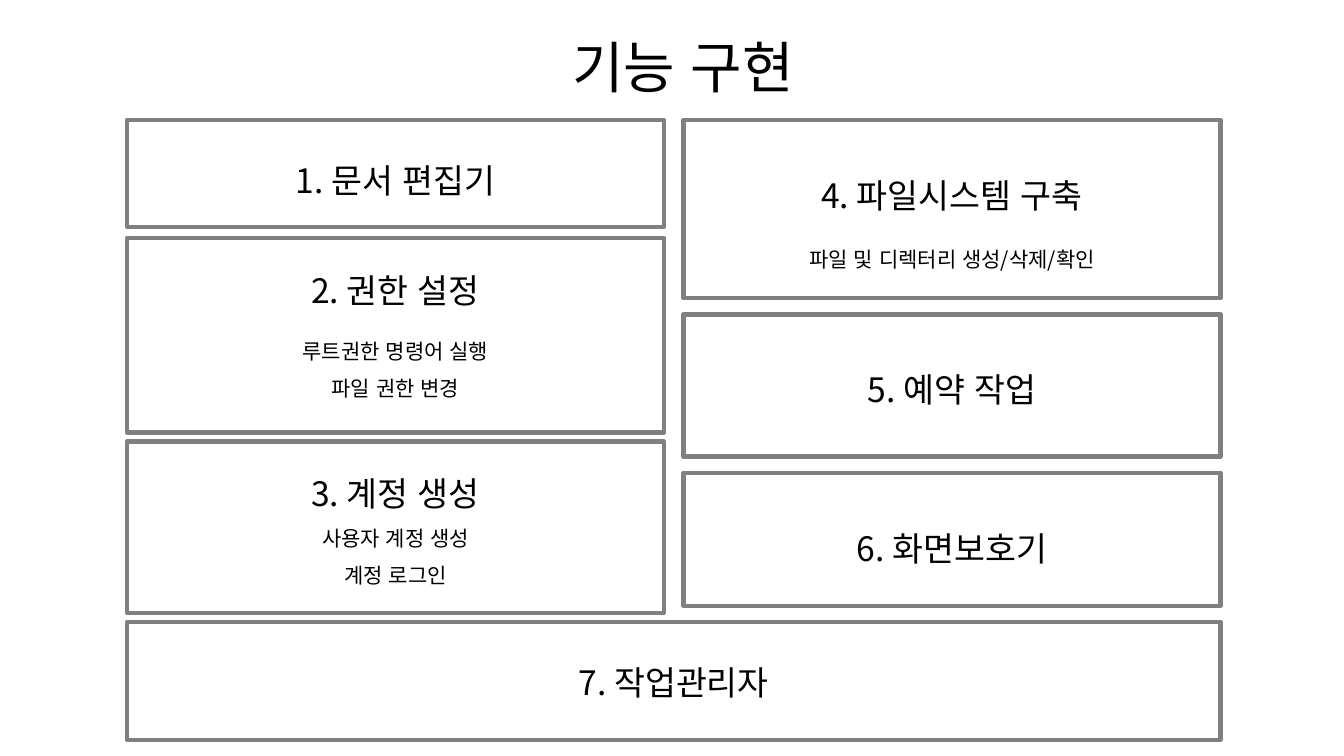
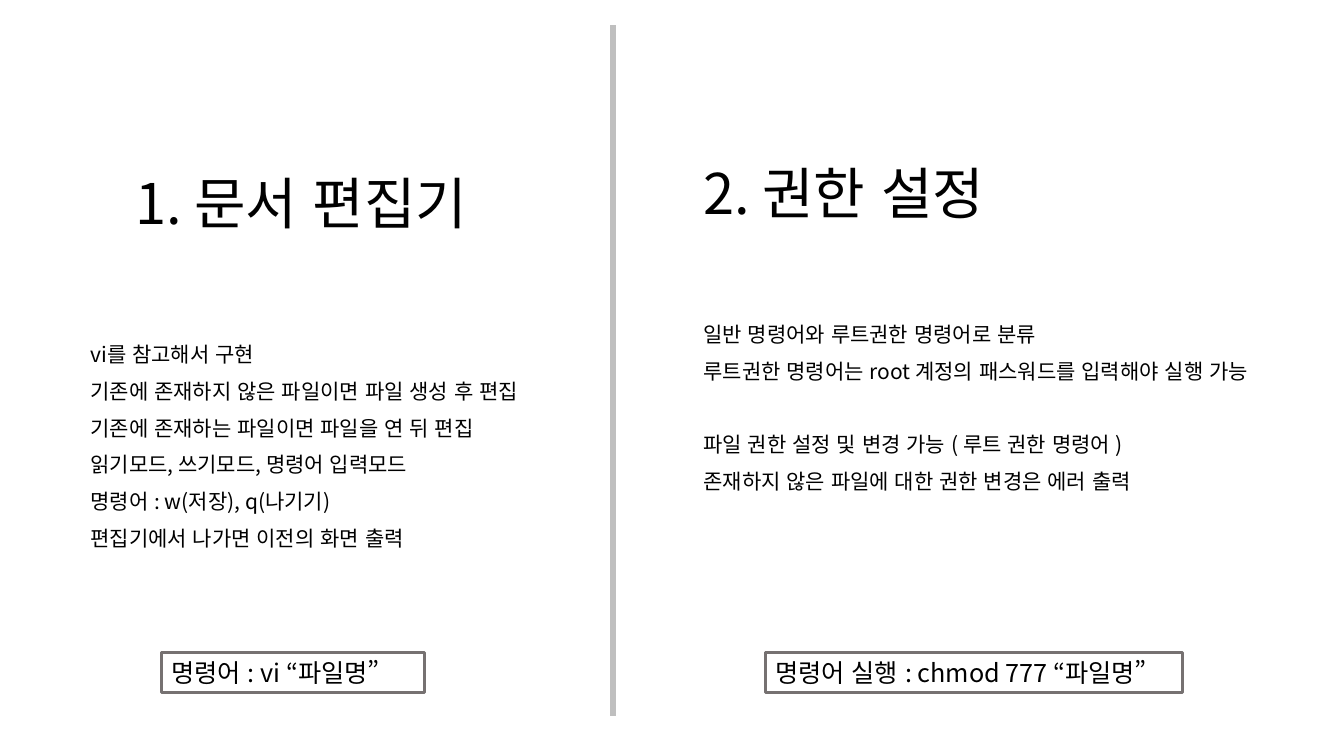
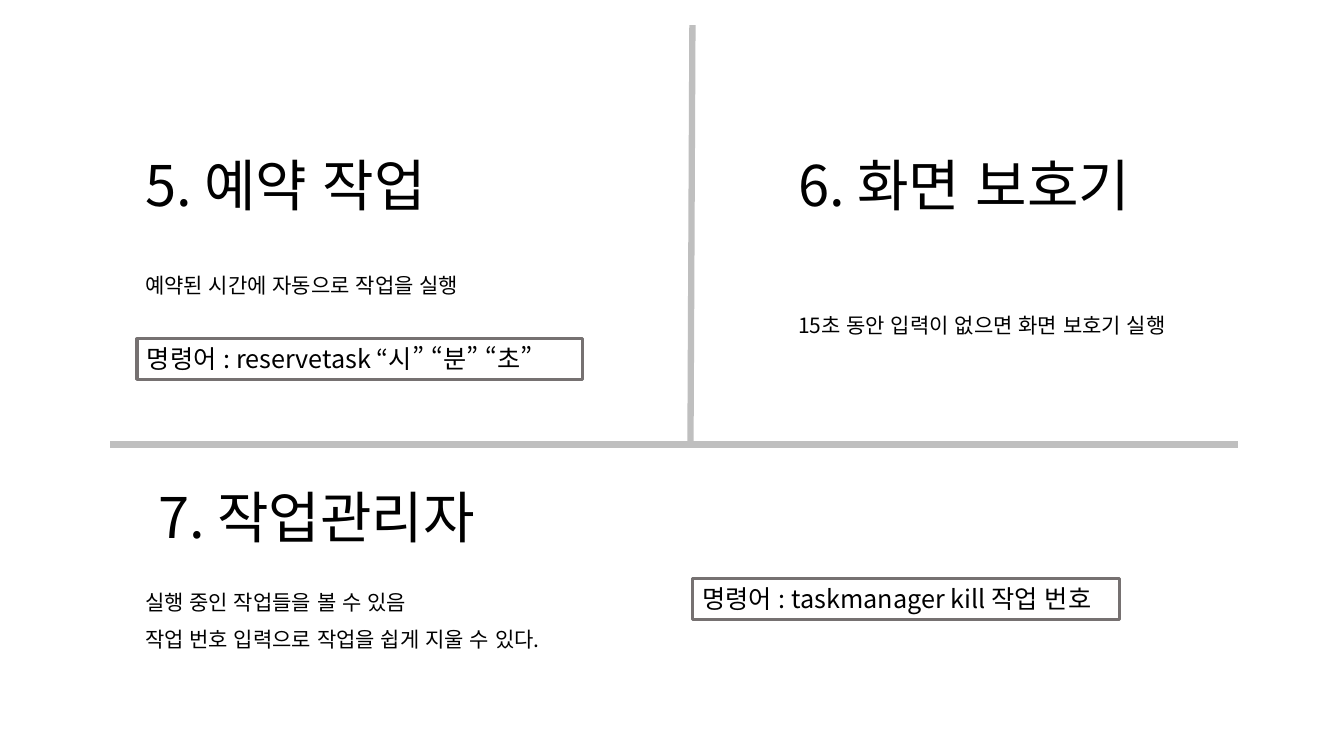
from lxml.etree import SubElement
from pptx import Presentation
from pptx.dml.color import RGBColor
from pptx.enum.lang import MSO_LANGUAGE_ID
from pptx.enum.shapes import MSO_CONNECTOR, MSO_SHAPE
from pptx.enum.text import MSO_ANCHOR, MSO_AUTO_SIZE, PP_ALIGN
from pptx.oxml.ns import qn
from pptx.util import Pt

BLACK = RGBColor(0x00, 0x00, 0x00)
BOX_GRAY = RGBColor(0x80, 0x80, 0x80)
COMMAND_GRAY = RGBColor(0x76, 0x71, 0x71)
DIVIDER_GRAY = RGBColor(0xBF, 0xBF, 0xBF)
FONT = "Noto Sans CJK KR"
TITLE_SIZE, HEADING_SIZE, COMMAND_SIZE, BODY_SIZE = 40, 24, 18, 15
TITLE_ONLY_LAYOUT = 5


class Deck:
    """Holds the shared style and the current slide."""

    def __init__(self):
        self.presentation = Presentation()
        self.presentation.slide_width = Pt(960)
        self.presentation.slide_height = Pt(540)
        self.slide = None

    def add_slide(self):
        layout = self.presentation.slide_layouts[TITLE_ONLY_LAYOUT]
        self.slide = self.presentation.slides.add_slide(layout)

    def format_paragraph(self, paragraph, size, align, line_spacing=0.9, space_before=0):
        paragraph.alignment = align
        paragraph.line_spacing = line_spacing
        paragraph.space_before = Pt(space_before)
        for run in paragraph.runs:
            run.font.size = Pt(size)
            run.font.color.rgb = BLACK
            run.font.language_id = MSO_LANGUAGE_ID.KOREAN
            run.font.name = FONT
            SubElement(run.font._element, qn("a:ea"), typeface=FONT)

    def prepare_frame(self, shape, text, anchor):
        frame = shape.text_frame
        frame.text = text
        frame.word_wrap = True
        frame.auto_size = MSO_AUTO_SIZE.NONE
        frame.vertical_anchor = anchor
        return frame

    def text_box(self, left, top, width, height):
        return self.slide.shapes.add_textbox(Pt(left), Pt(top), Pt(width), Pt(height))

    def outlined_box(self, left, top, width, height, color, weight):
        shape = self.slide.shapes.add_shape(
            MSO_SHAPE.RECTANGLE, Pt(left), Pt(top), Pt(width), Pt(height))
        shape.shadow.inherit = False
        shape.fill.background()
        shape.line.color.rgb = color
        shape.line.width = Pt(weight)
        return shape

    def format_title(self, shape, text, align):
        frame = self.prepare_frame(shape, text, MSO_ANCHOR.BOTTOM)
        self.format_paragraph(frame.paragraphs[0], TITLE_SIZE, align)

    def title(self, text, left, top, width, height, align=PP_ALIGN.LEFT):
        shape = self.slide.shapes.title
        shape.left, shape.top = Pt(left), Pt(top)
        shape.width, shape.height = Pt(width), Pt(height)
        self.format_title(shape, text, align)

    def section_title(self, text, left, top, width, height, align=PP_ALIGN.LEFT):
        self.format_title(self.text_box(left, top, width, height), text, align)

    def body(self, lines, left, top, width, height, gaps=None):
        """Gaps maps a line's index to a wider space before it."""
        shape = self.text_box(left, top, width, height)
        frame = self.prepare_frame(shape, "\n".join(lines), MSO_ANCHOR.TOP)
        for index, paragraph in enumerate(frame.paragraphs):
            space = (gaps or {}).get(index, 10)
            self.format_paragraph(paragraph, BODY_SIZE, PP_ALIGN.LEFT, space_before=space)

    def feature(self, heading, left, top, width, height, inset, details=(), detail_gap=10):
        shape = self.outlined_box(left, top, width, height, BOX_GRAY, 3)
        frame = self.prepare_frame(shape, "\n".join([heading, *details]), MSO_ANCHOR.TOP)
        frame.margin_top = Pt(inset)
        for index, paragraph in enumerate(frame.paragraphs):
            size = BODY_SIZE if index else HEADING_SIZE
            space = detail_gap if index == 1 else 10
            self.format_paragraph(paragraph, size, PP_ALIGN.CENTER, space_before=space)

    def command(self, text, left, top, width):
        shape = self.outlined_box(left, top, width, 29, COMMAND_GRAY, 2.25)
        frame = self.prepare_frame(shape, text, MSO_ANCHOR.TOP)
        frame.auto_size = MSO_AUTO_SIZE.SHAPE_TO_FIT_TEXT
        frame.margin_right = Pt(0)
        self.format_paragraph(frame.paragraphs[0], COMMAND_SIZE, PP_ALIGN.LEFT, 1.0)

    def divider(self, start_x, start_y, end_x, end_y):
        line = self.slide.shapes.add_connector(
            MSO_CONNECTOR.STRAIGHT, Pt(start_x), Pt(start_y), Pt(end_x), Pt(end_y))
        line.line.color.rgb = DIVIDER_GRAY
        line.line.width = Pt(4.5)
        SubElement(line._element.spPr, qn("a:effectLst"))


deck = Deck()

# Slide 1: overview of the features
deck.add_slide()
deck.title("기능 구현", 82, 10, 811.5, 65.5, PP_ALIGN.CENTER)
LEFT_COLUMN, RIGHT_COLUMN, COLUMN_WIDTH = 90.7, 488.2, 383.6
FULL_WIDTH = RIGHT_COLUMN + COLUMN_WIDTH - LEFT_COLUMN
features = [
    ("1. 문서 편집기", LEFT_COLUMN, 85.7, COLUMN_WIDTH, 76.3, 32, (), 10),
    ("2. 권한 설정", LEFT_COLUMN, 170, COLUMN_WIDTH, 139, 26,
     ("루트권한 명령어 실행", "파일 권한 변경"), 22),
    ("3. 계정 생성", LEFT_COLUMN, 315.4, COLUMN_WIDTH, 122.4, 26,
     ("사용자 계정 생성", "계정 로그인"), 10),
    ("4. 파일시스템 구축", RIGHT_COLUMN, 85.7, COLUMN_WIDTH, 127.4, 42.5,
     ("파일 및 디렉터리 생성/삭제/확인",), 24),
    ("5. 예약 작업", RIGHT_COLUMN, 224.6, COLUMN_WIDTH, 101.5, 42.5, (), 10),
    ("6. 화면보호기", RIGHT_COLUMN, 337.7, COLUMN_WIDTH, 95, 42.5, (), 10),
    ("7. 작업관리자", LEFT_COLUMN, 444.2, FULL_WIDTH, 84.2, 32, (), 10),
]
for feature in features:
    deck.feature(*feature)

# Slide 2: document editor and permissions
deck.add_slide()
deck.title("1. 문서 편집기", 89.3, 104.4, 314, 68.4)
deck.body(["vi를 참고해서 구현",
           "기존에 존재하지 않은 파일이면 파일 생성 후 편집",
           "기존에 존재하는 파일이면 파일을 연 뒤 편집",
           "읽기모드, 쓰기모드, 명령어 입력모드",
           "명령어 : w(저장), q(나기기)",
           "편집기에서 나가면 이전의 화면 출력"], 57.6, 242.6, 355, 247.7)
deck.section_title("2. 권한 설정", 495.4, 97.2, 271.4, 68.4)
deck.body(["일반 명령어와 루트권한 명령어로 분류",
           "루트권한 명령어는 root 계정의 패스워드를 입력해야 실행 가능",
           "파일 권한 설정 및 변경 가능 ( 루트 권한 명령어 )",
           "존재하지 않은 파일에 대한 권한 변경은 에러 출력"],
          495.4, 228.2, 452.9, 190.8, gaps={2: 36})
deck.divider(437.8, 18, 437.8, 511.2)
deck.command("명령어 : vi “파일명”", 115.2, 465.8, 188)
deck.command("명령어 실행 : chmod 777 “파일명”", 546.5, 465.8, 298)

# Slide 3: scheduled tasks, screen saver and task manager
deck.add_slide()
deck.title("5. 예약 작업", 96.5, 91.4, 269.3, 68.4)
deck.section_title("6. 화면 보호기", 563, 91.4, 311.8, 68.4)
deck.section_title("7. 작업관리자", 78.5, 341.3, 295.2, 55.4, PP_ALIGN.CENTER)
deck.body(["예약된 시간에 자동으로 작업을 실행"], 96.5, 193, 287.3, 29.5)
deck.body(["15초 동안 입력이 없으면 화면 보호기 실행"], 563, 221.8, 335.5, 48.2)
deck.body(["실행 중인 작업들을 볼 수 있음",
           "작업 번호 입력으로 작업을 쉽게 지울 수 있다."], 96.5, 419.8, 344.2, 57.6)
deck.divider(494.6, 18, 493.2, 316)
deck.divider(884.2, 317.5, 78.5, 317.5)
deck.command("명령어 : reservetask “시” “분” “초”", 97.9, 242, 318)
deck.command("명령어 : taskmanager kill 작업 번호", 494.6, 413.3, 305.3)

deck.presentation.save("out.pptx")
